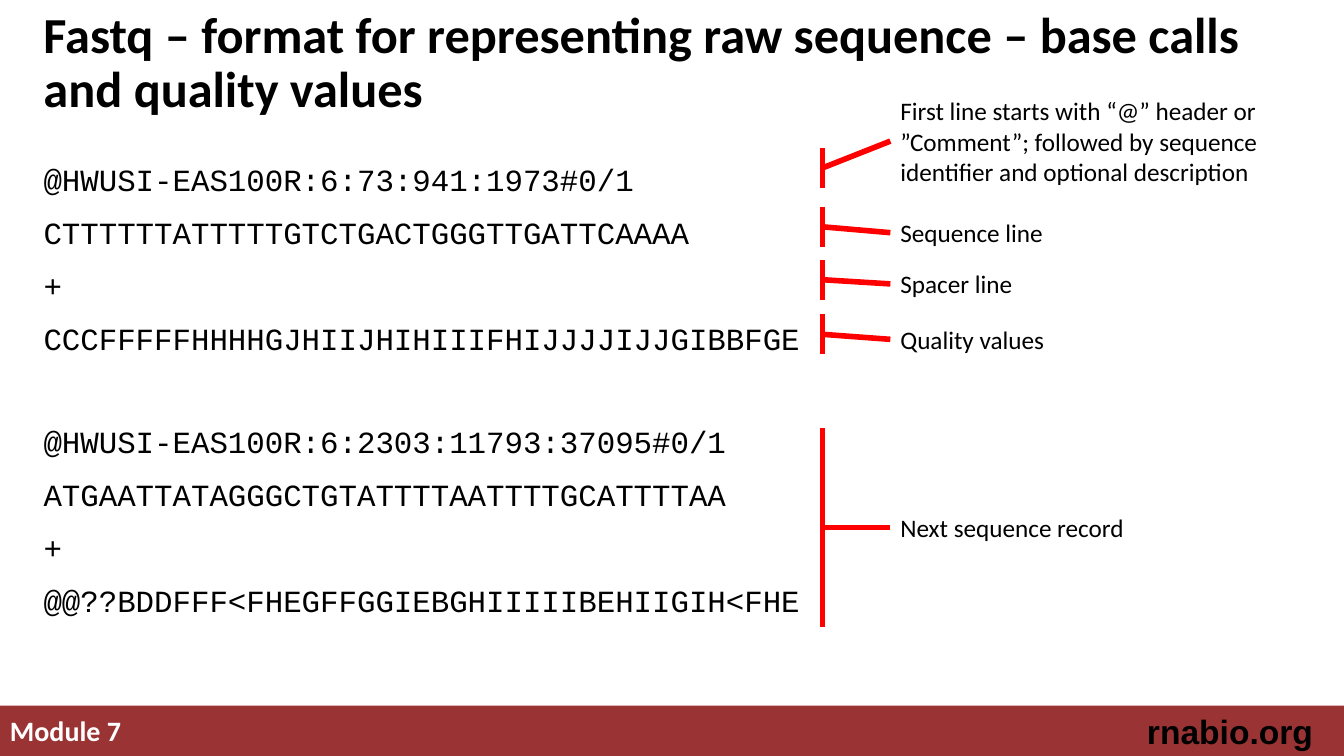
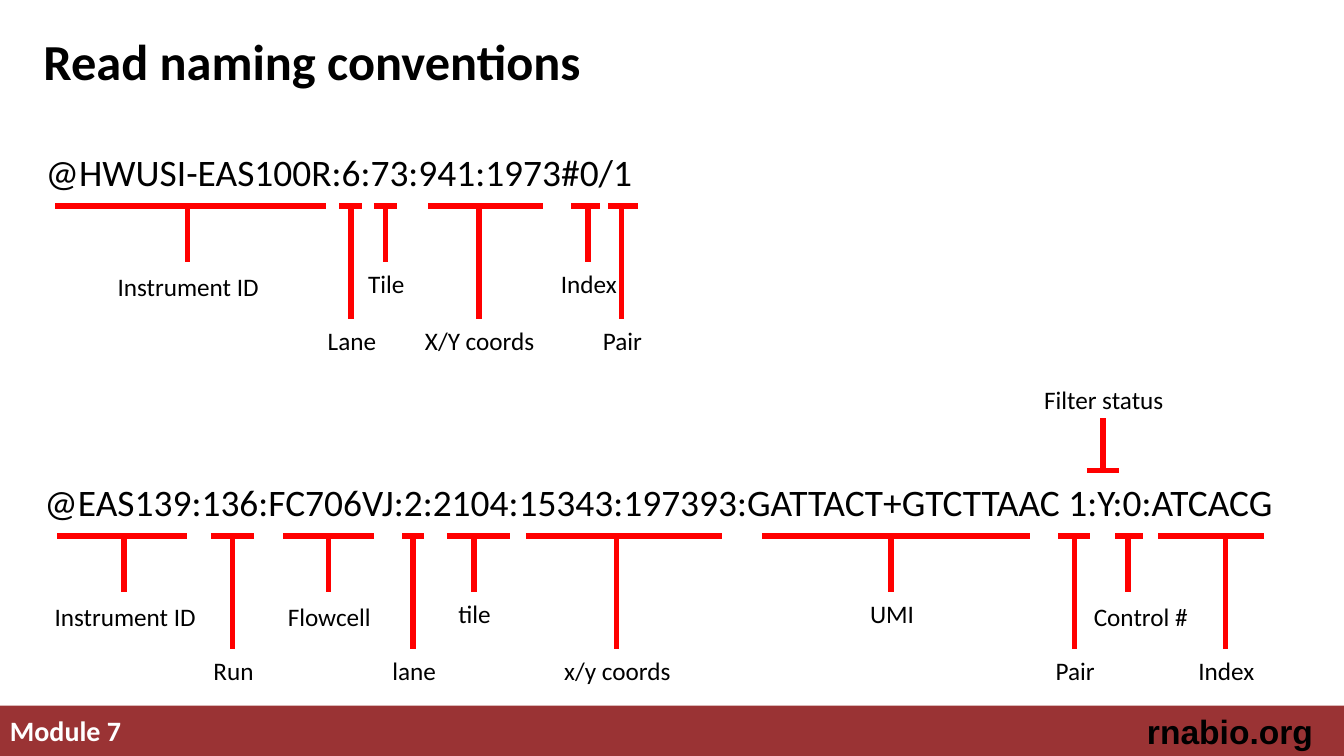
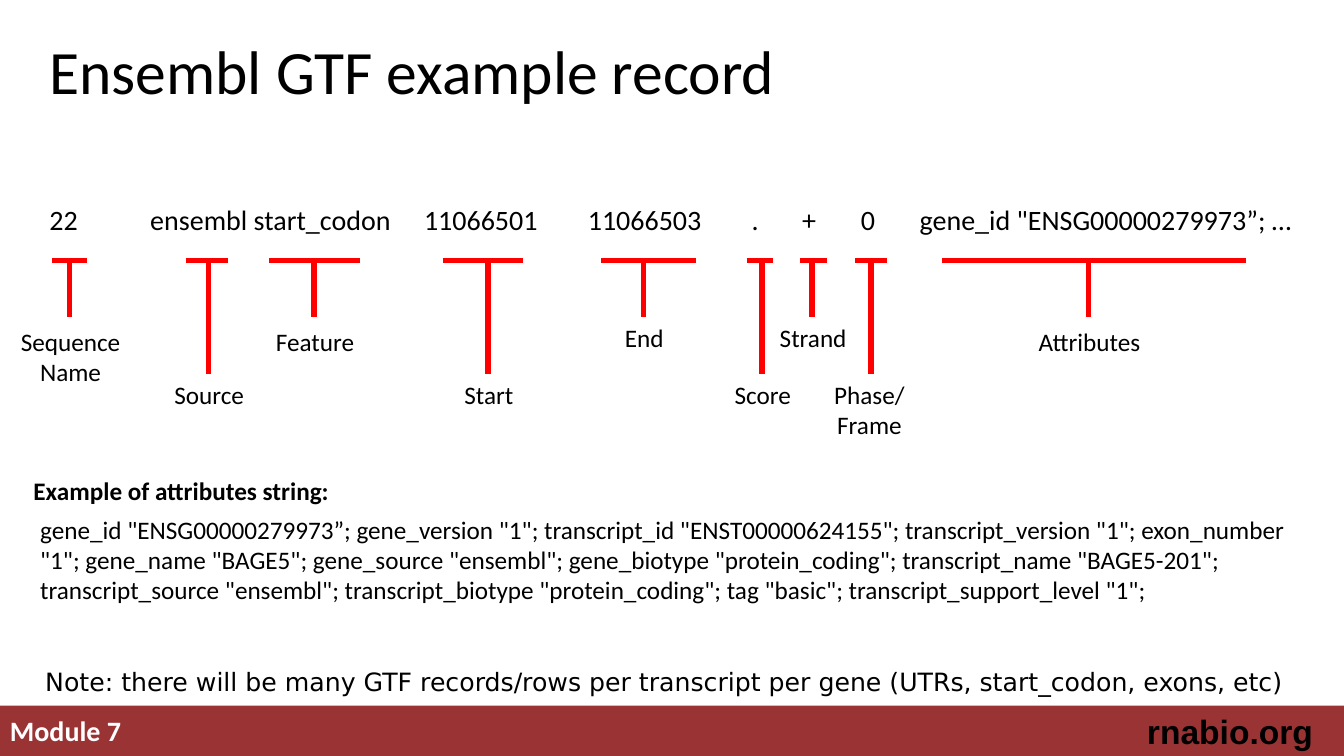
"""Build three slides on the FASTQ and GTF sequence formats."""
from dataclasses import dataclass

from lxml import etree
from pptx import Presentation
from pptx.dml.color import RGBColor
from pptx.enum.shapes import MSO_CONNECTOR, MSO_SHAPE
from pptx.enum.text import MSO_ANCHOR, PP_ALIGN
from pptx.oxml.ns import qn
from pptx.util import Pt

BLACK = RGBColor(0x00, 0x00, 0x00)
WHITE = RGBColor(0xFF, 0xFF, 0xFF)
RED = RGBColor(0xFF, 0x00, 0x00)
BRICK = RGBColor(0x9A, 0x33, 0x34)

LEFT, MID, RIGHT = PP_ALIGN.LEFT, PP_ALIGN.CENTER, PP_ALIGN.RIGHT
TOP, MIDDLE = MSO_ANCHOR.TOP, MSO_ANCHOR.MIDDLE
RECT, LINE = MSO_SHAPE.RECTANGLE, MSO_CONNECTOR.STRAIGHT

CELL = Pt(6)
COLS, ROWS = 160, 90
SANS = "Calibri"

NEAR, LOW, FAR = (6.7, 6.8), (6.7, 7.2), (13.5, 13.6)
ABOVE = (-6.2, -10.8)


@dataclass
class Box:
    """A region in grid columns and rows."""
    x: float
    y: float
    w: float
    h: float


@dataclass
class Tag:
    """A field's bar, its stem and the label at the stem's end."""
    text: str
    left: float
    right: float
    stem: float
    level: tuple
    shift: float = 0
    width: float = 20


def grid(*cells):
    """Turn grid cells into slide lengths."""
    return [round(n * CELL) for n in cells]


def write(slide, box, text, size=18, font=SANS, color=BLACK, bold=False,
          align=LEFT, anchor=TOP, spacing=1.0, tabs=()):
    """Add a text box, one paragraph for each line, and return its frame."""
    frame = slide.shapes.add_textbox(*grid(box.x, box.y, box.w, box.h)).text_frame
    frame.word_wrap = True
    frame.vertical_anchor = anchor
    frame.text = text
    for para in frame.paragraphs:
        para.alignment = align
        para.line_spacing = spacing
        if tabs:
            stops = etree.SubElement(para._p.get_or_add_pPr(), qn("a:tabLst"))
            for pos in grid(*tabs):
                etree.SubElement(stops, qn("a:tab"), pos=str(pos), algn="l")
        for run in para.runs:
            run.font.size = Pt(size)
            run.font.name = font
            run.font.bold = bold
            run.font.color.rgb = color
    return frame


def rule(slide, *ends):
    """Draw a thick red line from one grid point to another."""
    line = slide.shapes.add_connector(LINE, *grid(*ends))
    line.line.color.rgb = RED
    line.line.width = Pt(4)
    etree.SubElement(line._element.spPr, qn("a:effectLst"))


def band(slide, box):
    """Draw the footer band with the module and site names."""
    bar = slide.shapes.add_shape(RECT, *grid(box.x, box.y, box.w, box.h))
    bar.shadow.inherit = False
    bar.fill.solid()
    bar.fill.fore_color.rgb = BRICK
    bar.line.fill.background()
    write(slide, Box(box.x, box.y + 0.4, box.w * 0.55, box.h - 0.8), "Module 7",
          20, color=WHITE, bold=True)
    write(slide, Box(box.x + 126.5, box.y, 31, box.h), "rnabio.org", 24, "Arial",
          bold=True, align=RIGHT)


def start(deck, title, box=Box(4, 1.4, 153.4, 12.5), size=36, bold=True):
    """Add a blank slide with the footer band and a title."""
    slide = deck.slides.add_slide(deck.slide_layouts[6])
    band(slide, Box(0, 84, COLS, 6))
    write(slide, box, title, size, bold=bold, anchor=MIDDLE, spacing=0.9)
    return slide


def reads(slide, box, records):
    """List the records in fixed-width type, with a gap between them."""
    lines = [line for record in records for line in record]
    frame = write(slide, box, "\n".join(lines), 22, "Courier New")
    for i, para in enumerate(frame.paragraphs[1:], 1):
        para.space_before = Pt(11.5 if i % len(records[0]) else 47.2)


def notes(slide, box, items):
    """Bracket groups of lines and point to each from its note."""
    tip = box.x + 8.1
    for text, top, end, mid, count in items:
        rule(slide, box.x, box.y + top, box.x, box.y + end)
        rule(slide, tip, box.y + mid, box.x, box.y + (top + end) / 2)
        high = 3.6 * count + 1.2
        area = Box(tip, box.y + mid - high / 2, box.w - 8.1, high)
        write(slide, area, text, anchor=MIDDLE)


def fields(slide, box, tags):
    """Mark the fields of a record along the top edge of the box."""
    for tag in tags:
        stem, (drop, depth) = box.x + tag.stem, tag.level
        rule(slide, box.x + tag.left, box.y, box.x + tag.right, box.y)
        rule(slide, stem, box.y, stem, box.y + drop)
        area = Box(stem + 0.1 + tag.shift - tag.width / 2, box.y + depth,
                   tag.width, 4.8)
        write(slide, area, tag.text, align=MID)


def fastq(deck):
    """Show two FASTQ records with notes on their lines."""
    slide = start(deck, "Fastq – format for representing raw sequence – "
                        "base calls and quality values")
    reads(slide, Box(4, 18.5, 105, 60), [
        ["@HWUSI-EAS100R:6:73:941:1973#0/1",
         "CTTTTTTATTTTTGTCTGACTGGGTTGATTCAAAA",
         "+",
         "CCCFFFFFHHHHGJHIIJHIHIIIFHIJJJJIJJGIBBFGE"],
        ["@HWUSI-EAS100R:6:2303:11793:37095#0/1",
         "ATGAATTATAGGGCTGTATTTTAATTTTGCATTTTAA",
         "+",
         "@@??BDDFFF<FHEGFFGGIEBGHIIIIIBEHIIGIH<FHE"],
    ])
    notes(slide, Box(97.9, 10.8, 58.1, 64), [
        ("First line starts with “@” header or ”Comment”; followed by sequence "
         "identifier and optional description", 6.8, 11.6, 6, 3),
        ("Sequence line", 13.8, 18.6, 16.9, 1),
        ("Spacer line", 20.1, 24.9, 23, 1),
        ("Quality values", 26.6, 31.4, 29.6, 1),
        ("Next sequence record", 40.1, 63.9, 52, 1),
    ])


def naming(deck):
    """Show the parts of two read names."""
    slide = start(deck, "Read naming conventions")
    write(slide, Box(1.2, 17.8, 78.4, 11.5), "@HWUSI-EAS100R:6:73:941:1973#0/1",
          26.7, align=MID, spacing=0.9)
    fields(slide, Box(0, 24.5, COLS, 18), [
        Tag("Instrument ID", 6.6, 38.8, 22.3, LOW),
        Tag("Lane", 40.4, 43.1, 41.8, FAR),
        Tag("Tile", 44.5, 47.3, 45.9, NEAR),
        Tag("X/Y coords", 51, 64.7, 57, FAR),
        Tag("Index", 68, 71.4, 70, NEAR),
        Tag("Pair", 72.4, 76, 74, FAR),
    ])
    write(slide, Box(1.8, 57.1, 153.4, 11.5),
          "@EAS139:136:FC706VJ:2:2104:15343:197393:GATTACT+GTCTTAAC 1:Y:0:ATCACG",
          26.7, align=MID, spacing=0.9)
    fields(slide, Box(0, 56, COLS, 12), [
        Tag("Filter status", 129.4, 133.2, 131.3, ABOVE),
    ])
    fields(slide, Box(0, 63.8, COLS, 18), [
        Tag("Instrument ID", 6.8, 22.3, 14.8, LOW),
        Tag("Run", 25.1, 30.2, 27.7, FAR),
        Tag("Flowcell", 33.7, 44.5, 39.1, LOW),
        Tag("lane", 47.9, 50.5, 49.2, FAR),
        Tag("tile", 53.2, 60.7, 56.4, NEAR),
        Tag("x/y coords", 62.6, 85.9, 73.4, FAR),
        Tag("UMI", 90.7, 122.6, 106.1, NEAR),
        Tag("Pair", 126, 129.8, 127.9, FAR),
        Tag("Control #", 132.8, 136.1, 134.3, LOW, shift=1.4),
        Tag("Index", 137.9, 150.5, 145.9, FAR),
    ])


def gtf(deck):
    """Show the fields of a GTF record and its attributes."""
    slide = start(deck, "Ensembl GTF example record",
                  Box(4.7, 0.2, 151.3, 17.4), 44, False)
    cells = ["22", "ensembl start_codon", "11066501", "11066503", ".", "+", "0",
             'gene_id "ENSG00000279973”; …']
    write(slide, Box(4.7, 24, 152, 7), "\t".join(cells), 20, spacing=0.9,
          tabs=(12, 44.6, 64.1, 83.6, 89.6, 96.6, 103.6))
    fields(slide, Box(0, 31, COLS, 22), [
        Tag("Sequence Name", 6.2, 10.3, 8.3, LOW, width=15),
        Tag("Source", 22.1, 27.2, 24.8, FAR),
        Tag("Feature", 32, 42.8, 37.4, LOW),
        Tag("Start", 52.7, 62.3, 58.1, FAR),
        Tag("End", 71.6, 82.9, 76.6, NEAR),
        Tag("Score", 88.9, 92, 90.7, FAR),
        Tag("Strand", 95.3, 98.4, 96.7, NEAR),
        Tag("Phase/Frame", 101.8, 105.6, 103.7, FAR, shift=-0.3, width=15),
        Tag("Attributes", 112.2, 148.3, 129.6, LOW),
    ])
    write(slide, Box(2.8, 56, 44, 4.8), "Example of attributes string:", bold=True)
    write(slide, Box(3.6, 60.6, 151.3, 12.1),
          'gene_id "ENSG00000279973”; gene_version "1"; '
          'transcript_id "ENST00000624155"; transcript_version "1"; '
          'exon_number "1"; gene_name "BAGE5"; gene_source "ensembl"; '
          'gene_biotype "protein_coding"; transcript_name "BAGE5-201"; '
          'transcript_source "ensembl"; transcript_biotype "protein_coding"; '
          'tag "basic"; transcript_support_level "1";')
    write(slide, Box(4.2, 78.7, 154, 4.8),
          "Note: there will be many GTF records/rows per transcript per gene "
          "(UTRs, start_codon, exons, etc)", font="DejaVu Sans")


def main():
    """Build and save the deck."""
    deck = Presentation()
    deck.slide_width, deck.slide_height = grid(COLS, ROWS)
    for build in (fastq, naming, gtf):
        build(deck)
    deck.save("out.pptx")


if __name__ == "__main__":
    main()
